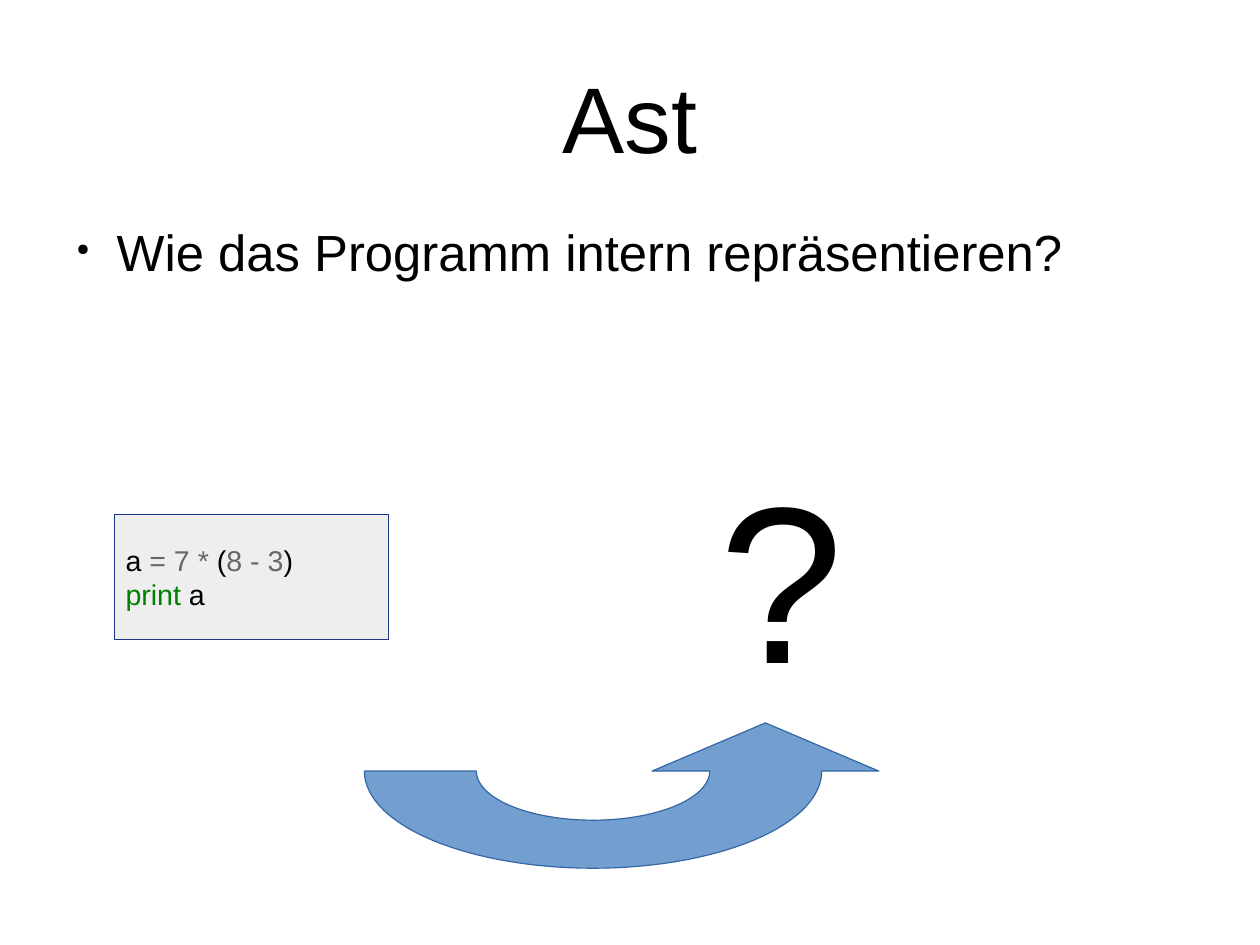
"""Build the slide asking how a program is represented internally."""
from dataclasses import dataclass
from math import cos, pi, sin

from lxml.etree import SubElement
from pptx import Presentation
from pptx.dml.color import RGBColor as Rgb
from pptx.enum.shapes import MSO_SHAPE as Preset
from pptx.enum.text import MSO_ANCHOR as Anchor, PP_ALIGN as Align
from pptx.oxml.ns import qn
from pptx.shapes.base import BaseShape
from pptx.slide import Slide
from pptx.util import Cm, Inches, Pt

WIDTH, HEIGHT = Cm(28), Cm(21)
FONT = "Arial"
COLOURS = {
    "text": "000000",
    "literal": "666666",
    "keyword": "008000",
    "code_fill": "EEEEEE",
    "code_line": "1C3687",
    "arrow_fill": "729FCF",
    "arrow_line": "3465A4",
}


@dataclass(frozen=True)
class Span:
    text: str
    colour: str = "text"


@dataclass(frozen=True)
class Box:
    """Text box whose place is given in percent of the slide."""
    left: float
    top: float
    width: float
    height: float
    size: float
    lines: tuple[tuple[Span, ...], ...]
    align: Align = Align.LEFT
    anchor: Anchor = Anchor.TOP
    inset: tuple[float, float] = (0, 0)
    bullet: bool = False
    fill: str = ""
    line: str = ""


@dataclass(frozen=True)
class Arc:
    radius_x: float
    radius_y: float


BOXES = (
    Box(5, 3.9, 90, 16.7, 58.7, ((Span("Ast"),),), Align.CENTER, Anchor.MIDDLE),
    Box(5, 23.35, 90, 14.15, 32, ((Span("Wie das Programm intern repräsentieren?"),),),
        bullet=True),
    Box(9.07, 54.41, 21.78, 13.3, 18, (
        (Span("a "), Span("= 7 *", "literal"), Span(" ("), Span("8 - 3", "literal"), Span(")")),
        (Span("print", "keyword"), Span(" a")),
    ), anchor=Anchor.MIDDLE, inset=(0.1, 0.05), fill="code_fill", line="code_line"),
    Box(56.2, 45.95, 18.15, 27.57, 140.6, ((Span("?"),),), inset=(0.1, 0.05)),
)
ARROW_CENTRE = (47.07, 81.6)
INNER, OUTER = Arc(9.26, 5.2), Arc(18.15, 10.28)
ARROW_HEAD = ((69.75, 81.6), (60.75, 76.5), (51.75, 81.6))
ARC_STEPS = 60


def across(percent: float) -> int:
    return round(WIDTH * percent / 100)


def down(percent: float) -> int:
    return round(HEIGHT * percent / 100)


def paint(shape: BaseShape, fill: str, line: str) -> None:
    shape.shadow.inherit = False
    shape.fill.solid()
    shape.fill.fore_color.rgb = Rgb.from_string(COLOURS[fill])
    shape.line.color.rgb = Rgb.from_string(COLOURS[line])
    shape.line.width = Pt(0)


def add_bullet(para) -> None:
    properties = para._p.get_or_add_pPr()
    properties.set("marL", str(Inches(0.47)))
    properties.set("indent", str(Inches(-0.35)))
    colour = SubElement(properties, qn("a:buClr"))
    SubElement(colour, qn("a:srgbClr"), val=COLOURS["text"])
    SubElement(properties, qn("a:buSzPct"), val="32000")
    SubElement(properties, qn("a:buChar"), char="●")


def add_box(page: Slide, box: Box) -> None:
    place = across(box.left), down(box.top), across(box.width), down(box.height)
    if box.fill:
        shape = page.shapes.add_shape(Preset.RECTANGLE, *place)
        paint(shape, box.fill, box.line)
    else:
        shape = page.shapes.add_textbox(*place)
    frame = shape.text_frame
    frame.word_wrap = True
    frame.vertical_anchor = box.anchor
    frame.margin_left = frame.margin_right = Inches(box.inset[0])
    frame.margin_top = frame.margin_bottom = Inches(box.inset[1])
    for index, line in enumerate(box.lines):
        para = frame.add_paragraph() if index else frame.paragraphs[0]
        para.alignment = box.align
        if box.bullet:
            add_bullet(para)
        for span in line:
            run = para.add_run()
            run.text = span.text
            run.font.name = FONT
            run.font.size = Pt(box.size)
            run.font.color.rgb = Rgb.from_string(COLOURS[span.colour])


def lower_half(arc: Arc) -> list[tuple[float, float]]:
    angles = [pi * step / ARC_STEPS for step in range(ARC_STEPS + 1)]
    return [(ARROW_CENTRE[0] + arc.radius_x * cos(angle),
             ARROW_CENTRE[1] + arc.radius_y * sin(angle)) for angle in angles]


def add_arrow(page: Slide) -> None:
    outline = [*lower_half(INNER), *reversed(lower_half(OUTER)), *ARROW_HEAD]
    points = [(across(x), down(y)) for x, y in outline]
    builder = page.shapes.build_freeform(*points[0])
    builder.add_line_segments(points[1:], close=True)
    paint(builder.convert_to_shape(), "arrow_fill", "arrow_line")


def main() -> None:
    deck = Presentation()
    deck.slide_width, deck.slide_height = WIDTH, HEIGHT
    page = deck.slides.add_slide(deck.slide_layouts[6])
    *back, question = BOXES
    for box in back:
        add_box(page, box)
    add_arrow(page)
    add_box(page, question)
    deck.save("out.pptx")


if __name__ == "__main__":
    main()
